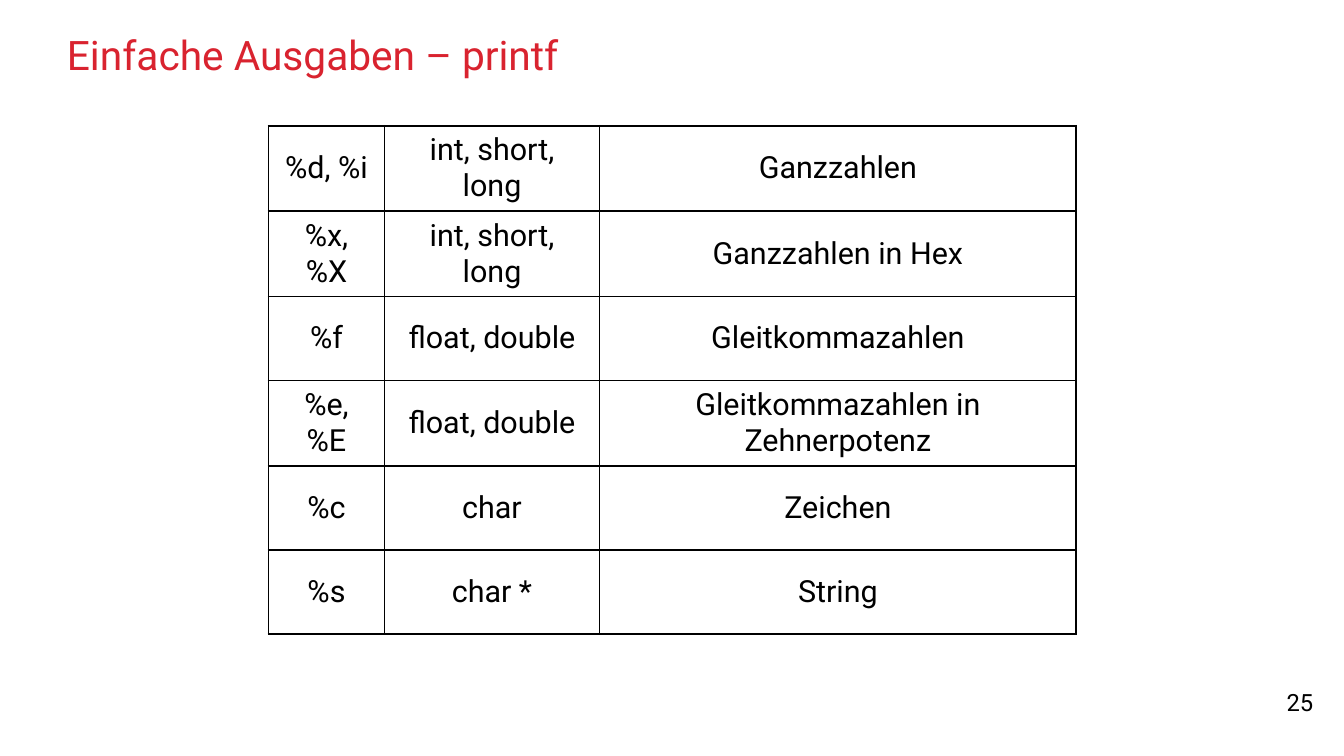
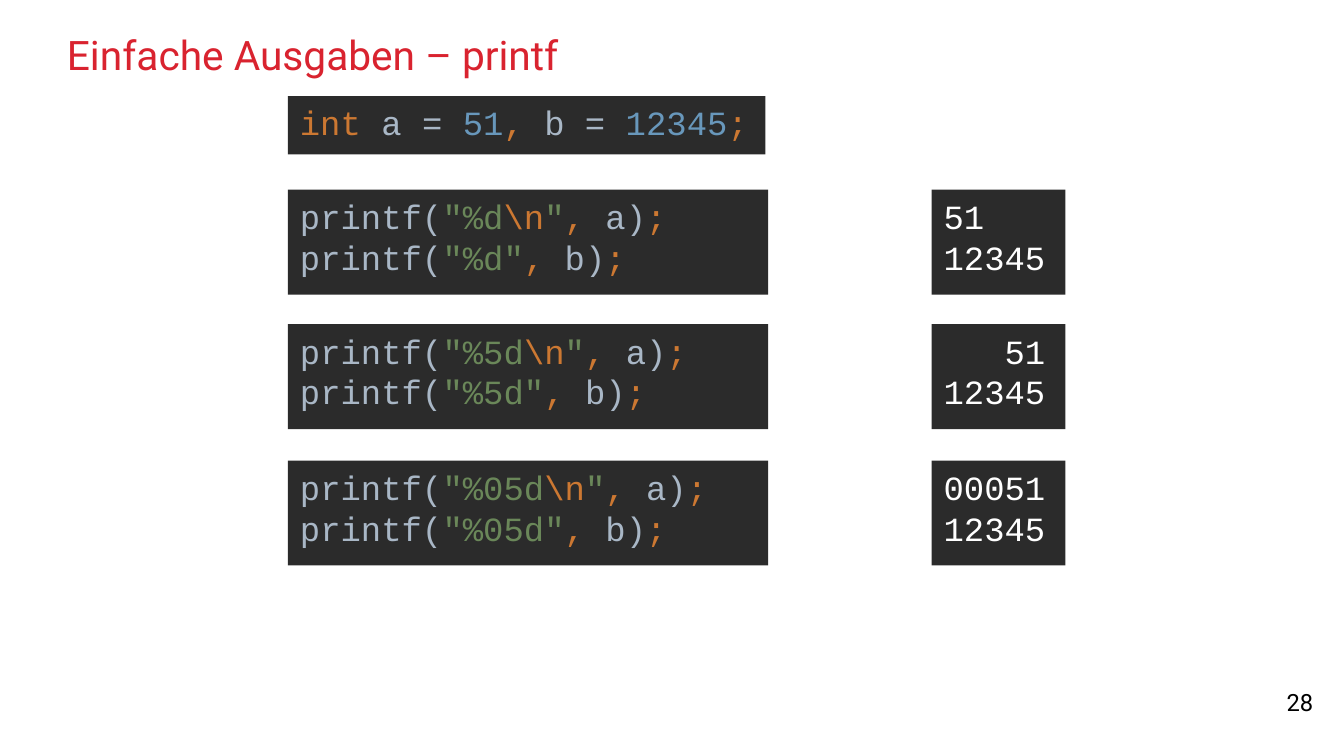
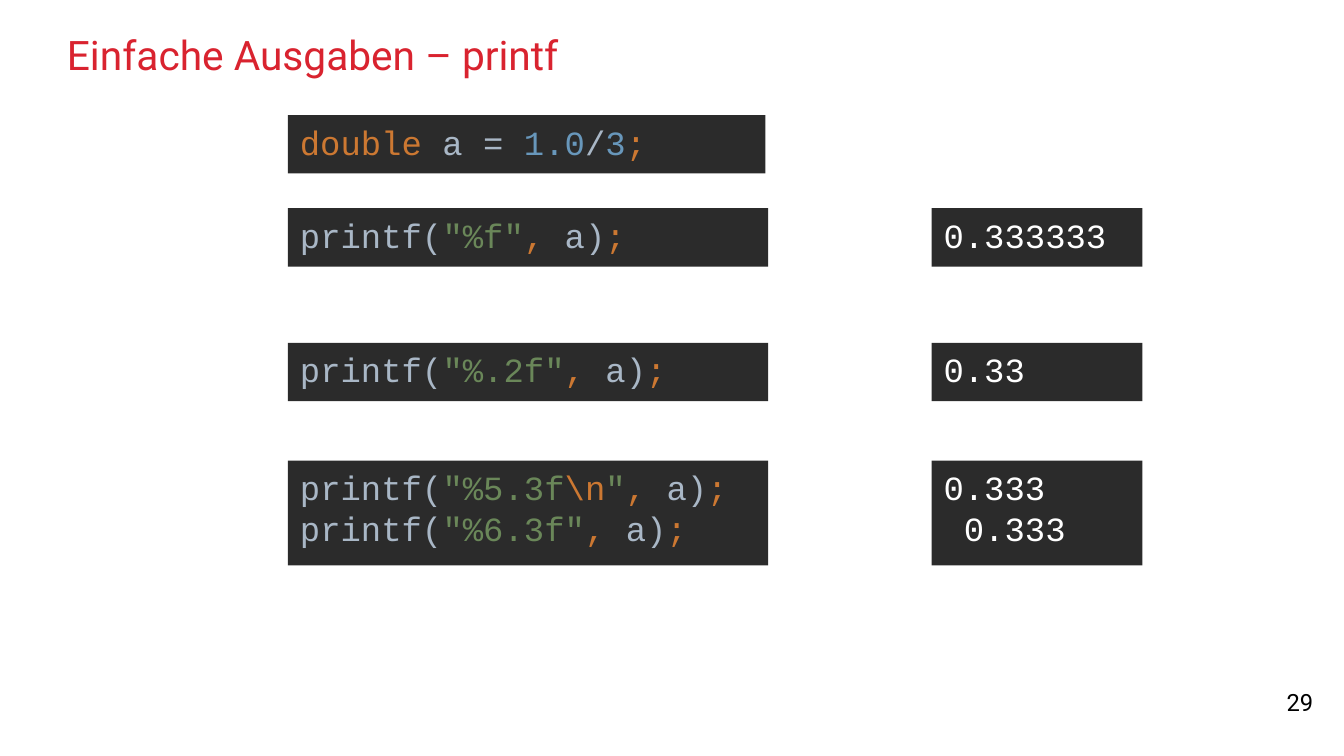
from lxml.etree import SubElement
from pptx import Presentation
from pptx.dml.color import RGBColor
from pptx.enum.shapes import MSO_SHAPE
from pptx.enum.text import MSO_ANCHOR, MSO_AUTO_SIZE, PP_ALIGN
from pptx.oxml import parse_xml
from pptx.oxml.ns import nsdecls, qn
from pptx.util import Pt

COLORS = {
    "title": "D9232F",
    "text": "000000",
    "panel": "2B2B2B",
    "keyword": "CC7832",
    "plain": "A9B7C6",
    "number": "6897BB",
    "string": "6A8759",
    "output": "FFFFFF",
}
TEXT_FONT = "Roboto"
CODE_FONT = "Courier New"
TITLE = "Einfache Ausgaben – printf"
CODE_LEFT, OUTPUT_LEFT = 170, 550
DECLARATION_WIDTH, CODE_WIDTH = 282, 283.5
PANEL_HEIGHTS = {1: 34.5, 2: 62}


def color(name):
    return RGBColor.from_string(COLORS[name])


def printf(fmt, var, newline=False):
    if newline:
        literal = [("string", '"' + fmt), ("keyword", "\\n"), ("string", '"')]
    else:
        literal = [("string", f'"{fmt}"')]
    return [("plain", "printf("), *literal, ("keyword", ", "),
            ("plain", f"{var})"), ("keyword", ";")]


class Deck:
    def __init__(self):
        self.prs = Presentation()
        self.prs.slide_width = Pt(793.5)
        self.prs.slide_height = Pt(446.5)
        self.s = None

    def style(self, p, size, name, font=TEXT_FONT, align=PP_ALIGN.LEFT):
        p.alignment = align
        p.font.size = Pt(size)
        p.font.name = font
        p.font.color.rgb = color(name)

    def slide(self, number):
        self.s = self.prs.slides.add_slide(self.prs.slide_layouts[5])
        self.title()
        self.page_number(number)

    def title(self):
        sp = self.s.shapes.title
        sp.left, sp.top, sp.width, sp.height = Pt(39.5), Pt(18), Pt(714), Pt(27.5)
        tf = sp.text_frame
        tf.text = TITLE
        tf.auto_size = MSO_AUTO_SIZE.NONE
        tf.vertical_anchor = MSO_ANCHOR.MIDDLE
        tf.margin_left = tf.margin_right = tf.margin_top = tf.margin_bottom = 0
        self.style(tf.paragraphs[0], 24, "title")

    def page_number(self, number):
        sp = self.s.shapes.add_textbox(Pt(674.5), Pt(404), Pt(108), Pt(21))
        tf = sp.text_frame
        tf.word_wrap = True
        tf.vertical_anchor = MSO_ANCHOR.MIDDLE
        tf.text = str(number)
        self.style(tf.paragraphs[0], 14, "text", align=PP_ALIGN.RIGHT)

    def table(self, left, top, widths, row_height, rows):
        frame = self.s.shapes.add_table(
            len(rows), len(widths), Pt(left), Pt(top),
            Pt(sum(widths)), Pt(row_height * len(rows)))
        table = frame.table
        table.first_row = table.horz_banding = False
        for column, width in zip(table.columns, widths):
            column.width = Pt(width)
        for row, texts in zip(table.rows, rows):
            row.height = Pt(row_height)
            for cell, text in zip(row.cells, texts):
                cell.text = text
                cell.vertical_anchor = MSO_ANCHOR.MIDDLE
                self.style(cell.text_frame.paragraphs[0], 18, "text",
                           align=PP_ALIGN.CENTER)
                cell.fill.background()
                self.borders(cell)

    def borders(self, cell):
        tc_pr = cell._tc.get_or_add_tcPr()
        for i, side in enumerate("LRTB"):
            tc_pr.insert(i, parse_xml(
                f'<a:ln{side} {nsdecls("a")} w="{Pt(1.13)}"><a:solidFill>'
                f'<a:srgbClr val="{COLORS["text"]}"/></a:solidFill></a:ln{side}>'))

    def panel(self, left, top, width, lines):
        sp = self.s.shapes.add_shape(
            MSO_SHAPE.RECTANGLE, Pt(left), Pt(top), Pt(width),
            Pt(PANEL_HEIGHTS[len(lines)]))
        sp.shadow.inherit = False
        sp.fill.solid()
        sp.fill.fore_color.rgb = color("panel")
        sp.line.fill.background()
        tf = sp.text_frame
        tf.word_wrap = True
        tf.vertical_anchor = MSO_ANCHOR.TOP
        for i, line in enumerate(lines):
            p = tf.add_paragraph() if i else tf.paragraphs[0]
            self.style(p, 20, line[0][0], CODE_FONT)
            for name, text in line:
                r = p.add_run()
                r.text = text
                if name != line[0][0]:
                    r.font.color.rgb = color(name)

    def declaration(self, top, tokens):
        self.panel(CODE_LEFT, top, DECLARATION_WIDTH, [tokens])

    def example(self, top, code, output, output_width):
        self.panel(CODE_LEFT, top, CODE_WIDTH, code)
        self.panel(OUTPUT_LEFT, top, output_width,
                   [[("output", text)] for text in output])


def main():
    deck = Deck()

    deck.slide(25)
    deck.table(158.5, 74.25, [68.5, 127, 281.5], 49.6, [
        ("%d, %i", "int, short, long", "Ganzzahlen"),
        ("%x, %X", "int, short, long", "Ganzzahlen in Hex"),
        ("%f", "float, double", "Gleitkommazahlen"),
        ("%e, %E", "float, double", "Gleitkommazahlen in Zehnerpotenz"),
        ("%c", "char", "Zeichen"),
        ("%s", "char *", "String"),
    ])

    deck.slide(28)
    deck.declaration(56.75, [
        ("keyword", "int "), ("plain", "a = "), ("number", "51"),
        ("keyword", ", "), ("plain", "b = "), ("number", "12345"),
        ("keyword", ";")])
    for top, fmt, first in [(112, "%d", "51"), (191.5, "%5d", "   51"),
                            (272, "%05d", "00051")]:
        deck.example(top, [printf(fmt, "a", True), printf(fmt, "b")],
                     [first, "12345"], 79)

    deck.slide(29)
    deck.declaration(68, [
        ("keyword", "double "), ("plain", "a = "), ("number", "1.0"),
        ("plain", "/"), ("number", "3"), ("keyword", ";")])
    for top, code, output in [
        (123, [printf("%f", "a")], ["0.333333"]),
        (202.5, [printf("%.2f", "a")], ["0.33"]),
        (272, [printf("%5.3f", "a", True), printf("%6.3f", "a")],
         ["0.333", " 0.333"]),
    ]:
        deck.example(top, code, output, 124.5)

    deck.prs.save("out.pptx")


if __name__ == "__main__":
    main()
